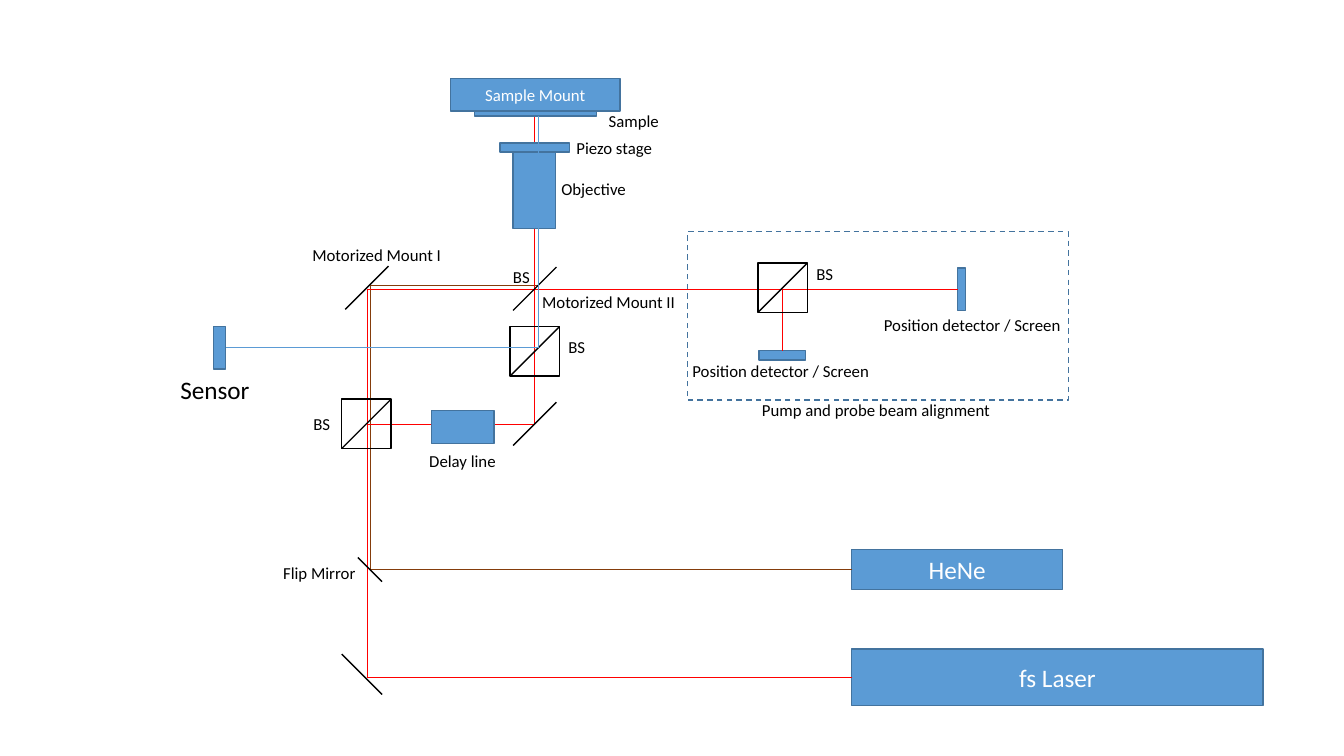
"""Draw the optical layout of a pump and probe microscope on one slide."""
from dataclasses import dataclass

from lxml.etree import SubElement
from pptx import Presentation
from pptx.dml.color import RGBColor
from pptx.enum.dml import MSO_LINE
from pptx.enum.shapes import MSO_CONNECTOR, MSO_SHAPE
from pptx.enum.text import MSO_ANCHOR, MSO_AUTO_SIZE, PP_ALIGN
from pptx.oxml.ns import qn
from pptx.util import Inches, Pt


@dataclass(frozen=True)
class Theme:
    font: str = "Calibri"
    small: int = 12
    large: int = 18
    block: str = "5B9BD5"
    edge: str = "43739E"
    ink: str = "000000"
    paper: str = "FFFFFF"
    pump: str = "FF0000"
    hene: str = "843C0B"
    probe: str = "5B9BD5"
    beam_width: float = 0.5
    edge_width: float = 1


THEME = Theme()
CELL = Inches(0.1)
COLS, ROWS = 133.33, 75
TOP, LEFT, RIGHT = 0, 1, 3
CUBE = 4.9

LABELS = [
    ("Sample", 59.4, 10.5, 7.1),
    ("Objective", 54.7, 17.2, 8.5),
    ("Delay line", 41.6, 44.2, 8.7),
    ("BS", 49.9, 26, 3.7),
    ("BS", 30.1, 40.6, 3.7),
    ("BS", 55.4, 32.9, 3.7),
    ("BS", 80, 25.7, 3.7),
    ("Piezo stage", 56.2, 13.2, 9.6),
    ("Motorized Mount I", 30, 23.8, 15.4),
    ("Motorized Mount II", 52.8, 28.5, 15.4),
    ("Position detector / Screen", 67.7, 35.3, 19.8),
    ("Position detector / Screen", 86.7, 30.7, 19.8),
    ("Flip Mirror", 27.1, 55.3, 9.2),
    ("Pump and probe beam alignment", 74.6, 39.2, 24.9),
]


def cells(*counts):
    """Turn grid counts into slide lengths."""
    return [round(CELL * n) for n in counts]


def add_run(p, text, size, color):
    """Add one run in the theme font."""
    r = p.add_run()
    r.text = text
    r.font.name = THEME.font
    r.font.size = Pt(size)
    r.font.color.rgb = RGBColor.from_string(color)


def add_box(parent, at, text="", size=THEME.small, fill=THEME.block, edge=THEME.edge):
    """Add a rectangle, hollow when fill is None."""
    sp = parent.shapes.add_shape(MSO_SHAPE.RECTANGLE, *cells(*at))
    sp.shadow.inherit = False
    if fill:
        sp.fill.solid()
        sp.fill.fore_color.rgb = RGBColor.from_string(fill)
    else:
        sp.fill.background()
    sp.line.color.rgb = RGBColor.from_string(edge)
    sp.line.width = Pt(THEME.edge_width)
    if text:
        tf = sp.text_frame
        tf.vertical_anchor = MSO_ANCHOR.MIDDLE
        p = tf.paragraphs[0]
        p.alignment = PP_ALIGN.CENTER
        add_run(p, text, size, THEME.paper)
    return sp


def add_line(parent, start, end, color=THEME.ink, width=THEME.edge_width):
    """Add a straight connector between two grid points."""
    cx = parent.shapes.add_connector(MSO_CONNECTOR.STRAIGHT, *cells(*start, *end))
    cx.line.color.rgb = RGBColor.from_string(color)
    cx.line.width = Pt(width)
    SubElement(cx._element.spPr, qn("a:effectLst"))
    return cx


def add_beam(s, color, *points):
    """Add a beam through the points and return its segments."""
    return [add_line(s, a, b, color, THEME.beam_width) for a, b in zip(points, points[1:])]


def add_mirror(parent, x, y, half, rise=1):
    """Add a diagonal mirror centred on a point, rising to the right by default."""
    return add_line(parent, (x - half, y + rise * half), (x + half, y - rise * half))


def add_splitter(s, x, y):
    """Add a beam splitter cube centred on a point."""
    grp = s.shapes.add_group_shape()
    half = CUBE / 2
    add_box(grp, (x - half, y - half, CUBE, CUBE), fill=None, edge=THEME.ink)
    add_mirror(grp, x, y, half)


def add_label(s, text, x, y, width, height=3, size=THEME.small):
    """Add an unwrapped caption."""
    tf = s.shapes.add_textbox(*cells(x, y, width, height)).text_frame
    tf.word_wrap = False
    tf.auto_size = MSO_AUTO_SIZE.SHAPE_TO_FIT_TEXT
    add_run(tf.paragraphs[0], text, size, THEME.ink)


def add_pump_path(s):
    """Add the pulsed laser, the alignment screens and the red beams."""
    laser = add_box(s, (84.5, 64.4, 40.8, 5.6), "fs Laser", THEME.large)
    screen = add_box(s, (95, 26.6, 0.8, 4.2))
    lower_screen = add_box(s, (75.3, 34.8, 4.6, 0.9))
    main_path = add_beam(s, THEME.pump, (84.5, 67.2), (36.4, 67.2), (36.4, 28.7), (95, 28.7))
    main_path[0].begin_connect(laser, LEFT)
    main_path[-1].end_connect(screen, LEFT)
    branch, = add_beam(s, THEME.pump, (77.6, 28.7), (77.6, 34.8))
    branch.end_connect(lower_screen, TOP)
    add_beam(s, THEME.pump, (36.4, 42.1), (53, 42.1), (53, 11.6))


def add_hene_path(s):
    """Add the HeNe laser and its beam."""
    laser = add_box(s, (84.5, 54.5, 20.9, 4), "HeNe", THEME.large)
    path = add_beam(s, THEME.hene, (84.5, 56.5), (36.7, 56.5), (36.7, 28.3),
                    (53.4, 28.3), (53.4, 18.8))
    path[0].begin_connect(laser, LEFT)


def add_optics(s):
    """Add the sample column, delay line, mirrors and splitters."""
    add_box(s, (50.9, 15.1, 4.2, 7.6))
    add_box(s, (47.1, 11, 12.1, 0.5))
    add_box(s, (44.7, 7.8, 16.8, 3.2), "Sample Mount")
    add_box(s, (49.6, 14.2, 6.9, 0.9))
    add_box(s, (42.8, 40.7, 6.2, 3.3))
    for x, y in [(53.05, 28.65), (36.4, 28.55), (53.05, 42.05)]:
        add_mirror(s, x, y, 2.15)
    add_mirror(s, 35.9, 66.9, 2, -1)
    add_mirror(s, 36.7, 56.5, 1.2, -1)
    for x, y in [(36.35, 42.05), (53.05, 34.85), (77.65, 28.55)]:
        add_splitter(s, x, y)


def add_probe_path(s):
    """Add the sensor and the beam returned from the sample."""
    sensor = add_box(s, (21.2, 32.4, 1.2, 4.2))
    path = add_beam(s, THEME.probe, (53.4, 11.5), (53.4, 34.5), (22.4, 34.5))
    path[-1].end_connect(sensor, RIGHT)
    add_label(s, "Sensor", 16.9, 36.6, 9, 4, THEME.large)


def main():
    """Build and save the slide."""
    prs = Presentation()
    prs.slide_width, prs.slide_height = cells(COLS, ROWS)
    s = prs.slides.add_slide(prs.slide_layouts[6])
    add_hene_path(s)
    add_pump_path(s)
    add_optics(s)
    add_probe_path(s)
    frame = add_box(s, (68.2, 23, 37.8, 16.7), fill=None)
    frame.line.dash_style = MSO_LINE.DASH
    for label in LABELS:
        add_label(s, *label)
    prs.save("out.pptx")


if __name__ == "__main__":
    main()
